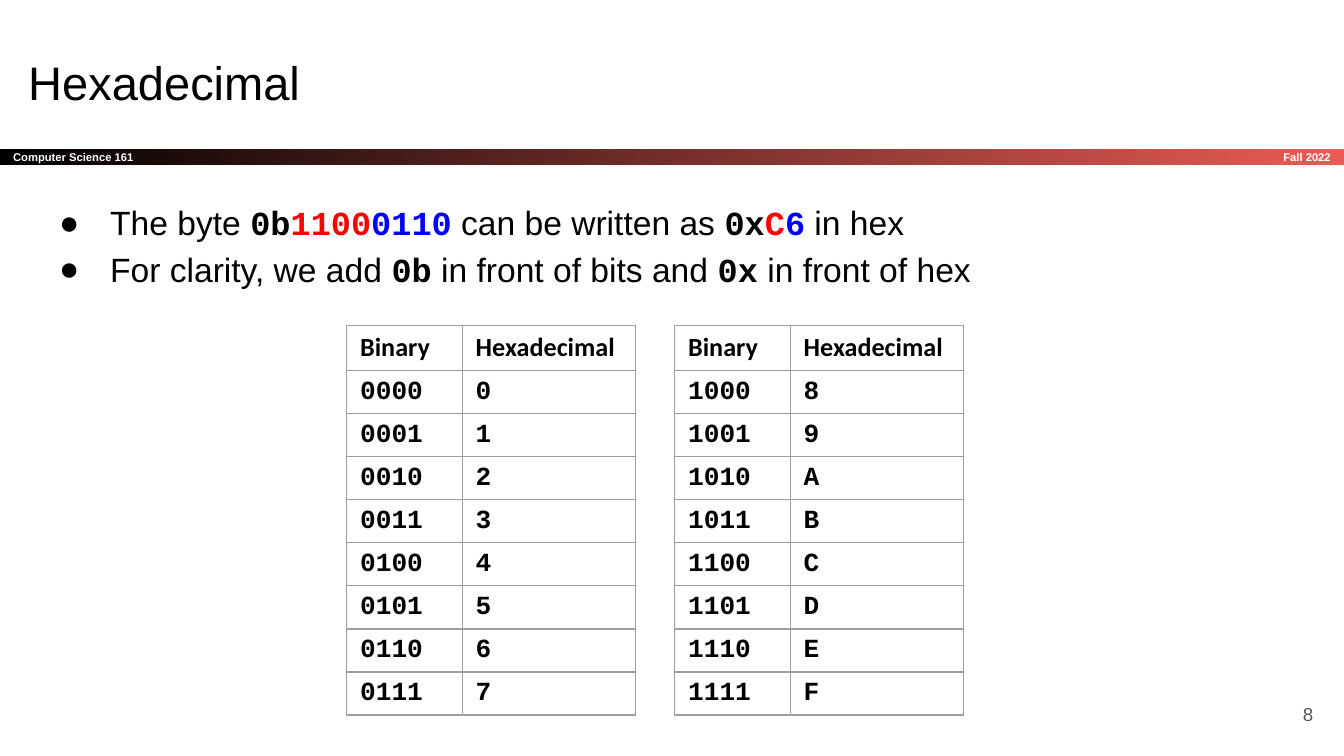
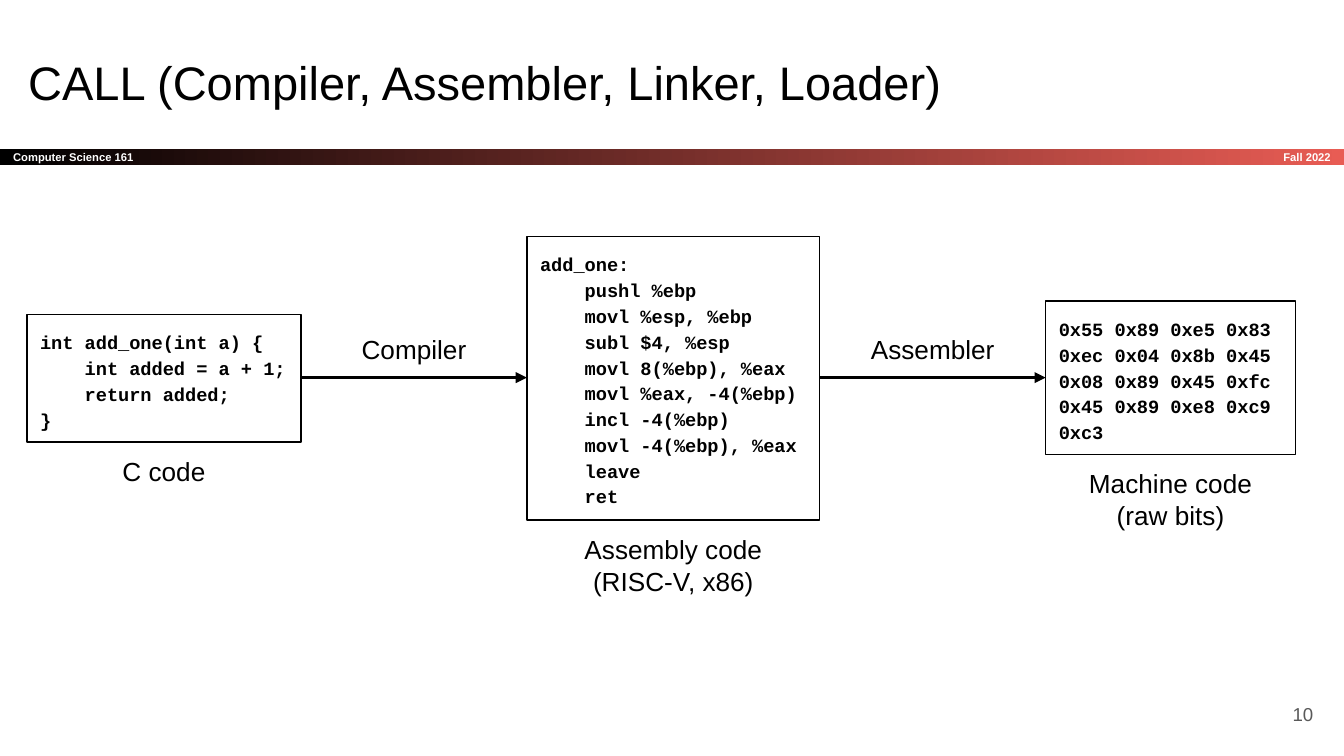
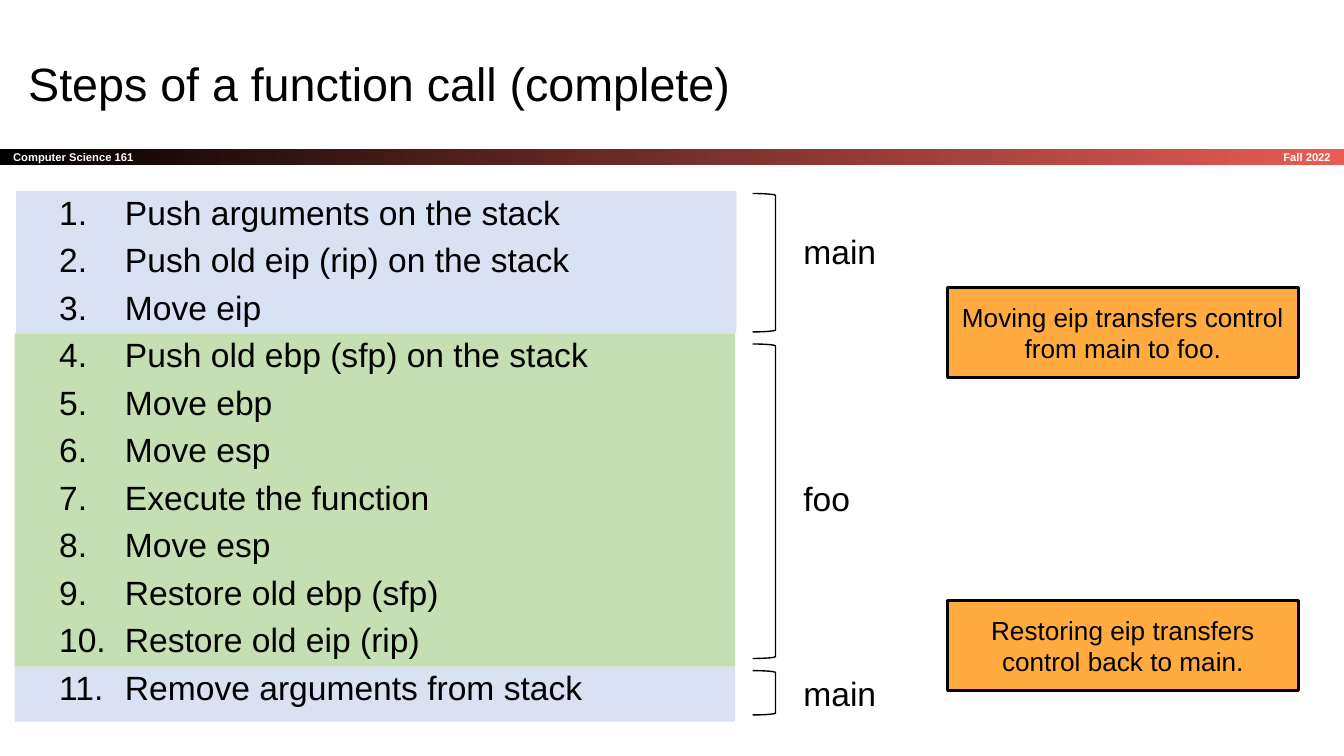
"""Build three lecture slides on number formats, compiling and calls."""
from lxml.etree import SubElement as Sub
from pptx import Presentation
from pptx.dml.color import RGBColor
from pptx.enum.shapes import MSO_CONNECTOR as Link, MSO_SHAPE as Kind
from pptx.enum.text import MSO_ANCHOR as Anchor, MSO_AUTO_SIZE as Fit, PP_ALIGN as Align
from pptx.oxml.ns import qn
from pptx.util import Inches, Pt

SANS, MONO, HEAD = "Arial", "Courier New", "Calibri"
BLACK, WHITE, GRAY, EDGE = "000000", "FFFFFF", "595959", "9E9E9E"
RED, BLUE, CORAL = "FF0000", "0000FF", "E85C54"
SKY, LEAF, AMBER = "D8E2F3", "C4E0B2", "FFAB40"

BYTES = [
    [("The byte ",), ("0b", BLACK), ("1100", RED), ("0110", BLUE),
     (" can be written as ",), ("0x", BLACK), ("C", RED), ("6", BLUE),
     (" in hex",)],
    [("For clarity, we add ",), ("0b", BLACK),
     (" in front of bits and ",), ("0x", BLACK), (" in front of hex",)],
]

C_CODE = """int add_one(int a) {
    int added = a + 1;
    return added;
}"""

ASM = """add_one:
    pushl %ebp
    movl %esp, %ebp
    subl $4, %esp
    movl 8(%ebp), %eax
    movl %eax, -4(%ebp)
    incl -4(%ebp)
    movl -4(%ebp), %eax
    leave
    ret"""

BITS = ("0x55 0x89 0xe5 0x83 0xec 0x04 0x8b 0x45 0x08 0x89 0x45 0xfc "
        "0x45 0x89 0xe8 0xc9 0xc3")

STEPS = [
    "Push arguments on the stack",
    "Push old eip (rip) on the stack",
    "Move eip",
    "Push old ebp (sfp) on the stack",
    "Move ebp",
    "Move esp",
    "Execute the function",
    "Move esp",
    "Restore old ebp (sfp)",
    "Restore old eip (rip)",
    "Remove arguments from stack",
]


def hue(code):
    """Turn a hex string into a colour."""
    return RGBColor.from_string(code)


def style(font, size, color=BLACK, name=SANS, bold=False):
    """Set the look of a font."""
    font.size, font.name, font.bold = Pt(size), name, bold
    font.color.rgb = hue(color)


def write(frame, text, size, align=Align.LEFT, anchor=Anchor.TOP,
          lead=None, pad=0.1, **look):
    """Fill a text frame with evenly styled text."""
    frame.text = text
    frame.word_wrap, frame.auto_size = True, Fit.NONE
    frame.vertical_anchor = anchor
    frame.margin_left = frame.margin_right = Inches(0.1)
    frame.margin_top = frame.margin_bottom = Inches(pad)
    for para in frame.paragraphs:
        para.alignment, para.line_spacing = align, lead
        for run in para.runs:
            style(run.font, size, **look)


def place(shape, x, y, w, h):
    """Move and size a shape."""
    shape.left, shape.top = Inches(x), Inches(y)
    shape.width, shape.height = Inches(w), Inches(h)


def label(slide, box, text, size, **look):
    """Add a text box."""
    area = slide.shapes.add_textbox(*map(Inches, box))
    write(area.text_frame, text, size, **look)


def block(slide, box, fill=None, line=None, kind=Kind.RECTANGLE):
    """Add a flat shape; line is its width in points."""
    shape = slide.shapes.add_shape(kind, *map(Inches, box))
    shape.shadow.inherit = False
    if fill:
        shape.fill.solid()
        shape.fill.fore_color.rgb = hue(fill)
    else:
        shape.fill.background()
    if line:
        shape.line.color.rgb = hue(BLACK)
        shape.line.width = Pt(line)
    else:
        shape.line.fill.background()
    return shape


def start(deck, layout, title, page=None, size=25.2, **look):
    """Add a slide with its title, course band and page number."""
    slide = deck.slides.add_slide(deck.slide_layouts[layout])
    head = slide.shapes.title
    place(head, 0.11, 0.3, 9.32, 0.63)
    write(head.text_frame, title, size, **look)
    band = block(slide, (0, 1.11, 10, 0.12))
    band.fill.gradient()
    band.fill.gradient_angle = 0
    for stop, color in zip(band.fill.gradient_stops, (BLACK, CORAL)):
        stop.color.rgb = hue(color)
    tag = dict(size=6, color=WHITE, bold=True, anchor=Anchor.MIDDLE)
    write(band.text_frame, "Computer Science 161", **tag)
    label(slide, (8.34, 1.11, 1.66, 0.12), "Fall 2022",
          align=Align.RIGHT, **tag)
    if page:
        label(slide, (9.27, 5.1, 0.6, 0.43), str(page), 10, color=GRAY,
              align=Align.RIGHT, anchor=Anchor.MIDDLE)
    return slide


def fill_body(slide, text, lead, gap, indent, hang, mark, **attrs):
    """Write a list with its own marks into the body."""
    body = slide.placeholders[1]
    place(body, 0.22, 1.36, 9.32, 4.12)
    write(body.text_frame, text, 18, lead=lead)
    paras = body.text_frame.paragraphs
    for i, para in enumerate(paras):
        props = para._p.get_or_add_pPr()
        props.set("marL", str(Inches(indent)))
        props.set("indent", str(-Inches(hang)))
        Sub(props, qn("a:buFont"), typeface=SANS)
        Sub(props, qn(mark), **attrs)
        para.space_before = Pt(gap if i else 0)
    return paras


def border(cell):
    """Draw thin grey lines round a cell."""
    props = cell._tc.get_or_add_tcPr()
    for side in ("lnL", "lnR", "lnT", "lnB"):
        line = Sub(props, qn("a:" + side), w=str(Pt(0.75)))
        Sub(Sub(line, qn("a:solidFill")), qn("a:srgbClr"), val=EDGE)


def hex_table(slide, x, first):
    """Add a table of eight values counted from first."""
    rows = [("Binary", "Hexadecimal")]
    rows += [(f"{n:04b}", f"{n:X}") for n in range(first, first + 8)]
    box = x, 2.42, 3.28, 3.28
    frame = slide.shapes.add_table(len(rows), 2, *map(Inches, box))
    table = frame.table
    table.first_row = table.horz_banding = False
    for col, width in zip(table.columns, (0.86, 1.29)):
        col.width = Inches(width)
    for i, row in enumerate(rows):
        table.rows[i].height = Inches(0.26)
        for j, text in enumerate(row):
            cell = table.cell(i, j)
            border(cell)
            cell.fill.background()
            cell.text = text
            style(cell.text_frame.paragraphs[0].runs[0].font, 14,
                  name=MONO if i else HEAD, bold=True)
    place(frame, *box)


def stage(slide, box, code, name):
    """Add a framed piece of code with a caption below it."""
    x, y, w, h = box
    frame = block(slide, box, WHITE, 0.75)
    write(frame.text_frame, code, 10, lead=1.15, name=MONO, bold=True)
    tall = 0.67 if "\n" in name else 0.44
    label(slide, (x, y + h, w, tall), name, 14, align=Align.CENTER)


def arrow(slide, x, name):
    """Add a named arrow between two stages."""
    ends = map(Inches, (x, 2.81, x + 1.68, 2.81))
    line = slide.shapes.add_connector(Link.STRAIGHT, *ends)
    line.line.color.rgb = hue(BLACK)
    line.line.width = Pt(1.5)
    props = line.element.spPr
    Sub(props.find(qn("a:ln")), qn("a:tailEnd"), type="triangle")
    Sub(props, qn("a:effectLst"))
    label(slide, (x, 2.38, 1.68, 0.44), name, 14, align=Align.CENTER)


def phase(slide, shade, fill, span, name, text_y):
    """Shade the steps of one function, with a bracket and its name."""
    x, y, h = shade
    back = block(slide, (x, y, 5.36, h), fill)
    slide.shapes.element.insert(2, back.element)
    top, tall = span
    block(slide, (5.6, top, 0.17, tall), line=0.75, kind=Kind.RIGHT_BRACKET)
    label(slide, (5.88, text_y, 1.5, 0.41), name, 18, pad=0.05)


def note(slide, y, text):
    """Add an amber remark."""
    box = block(slide, (7.05, y, 2.61, 0.67), AMBER, 1.5)
    write(box.text_frame, text, 14, align=Align.CENTER)


def hex_slide(deck):
    """Show how bits map to hex digits."""
    slide = start(deck, 1, "Hexadecimal", 8)
    lines = ["".join(part[0] for part in line) for line in BYTES]
    paras = fill_body(slide, "\n".join(lines), 1.15, 0, 0.5, 0.38,
                      "a:buChar", char="●")
    for para, line in zip(paras, BYTES):
        para.text = ""
        for text, *color in line:
            run = para.add_run()
            run.text = text
            if color:
                style(run.font, 18, color[0], MONO, True)
            else:
                style(run.font, 18)
    hex_table(slide, 2.58, 0)
    hex_table(slide, 5.02, 8)


def call_slide(deck):
    """Show the way from source to machine code."""
    slide = start(deck, 5, "CALL (Compiler, Assembler, Linker, Loader)", 10)
    stage(slide, (0.2, 2.34, 2.04, 0.95), C_CODE, "C code")
    stage(slide, (3.92, 1.76, 2.18, 2.11), ASM,
          "Assembly code\n(RISC-V, x86)")
    stage(slide, (7.78, 2.24, 1.86, 1.14), BITS, "Machine code\n(raw bits)")
    arrow(slide, 2.24, "Compiler")
    arrow(slide, 6.1, "Assembler")


def step_slide(deck):
    """List the steps of a call by function."""
    slide = start(deck, 1, "Steps of a function call (complete)",
                  size=25, anchor=Anchor.BOTTOM, lead=0.9)
    fill_body(slide, "\n".join(STEPS), 0.9, 6, 0.61, 0.49,
              "a:buAutoNum", type="arabicPeriod")
    phase(slide, (0.12, 1.42, 1.06), SKY, (1.44, 1.03), "main", 1.67)
    phase(slide, (0.11, 2.48, 2.48), LEAF, (2.56, 2.34), "foo", 3.51)
    phase(slide, (0.11, 4.96, 0.41), SKY, (4.99, 0.33), "main", 4.96)
    note(slide, 2.14, "Moving eip transfers control from main to foo.")
    note(slide, 4.47, "Restoring eip transfers control back to main.")


def main():
    """Build and save the deck."""
    deck = Presentation()
    deck.slide_width = Inches(10)
    deck.slide_height = deck.slide_width * 9 // 16
    hex_slide(deck)
    call_slide(deck)
    step_slide(deck)
    deck.save("out.pptx")


if __name__ == "__main__":
    main()
